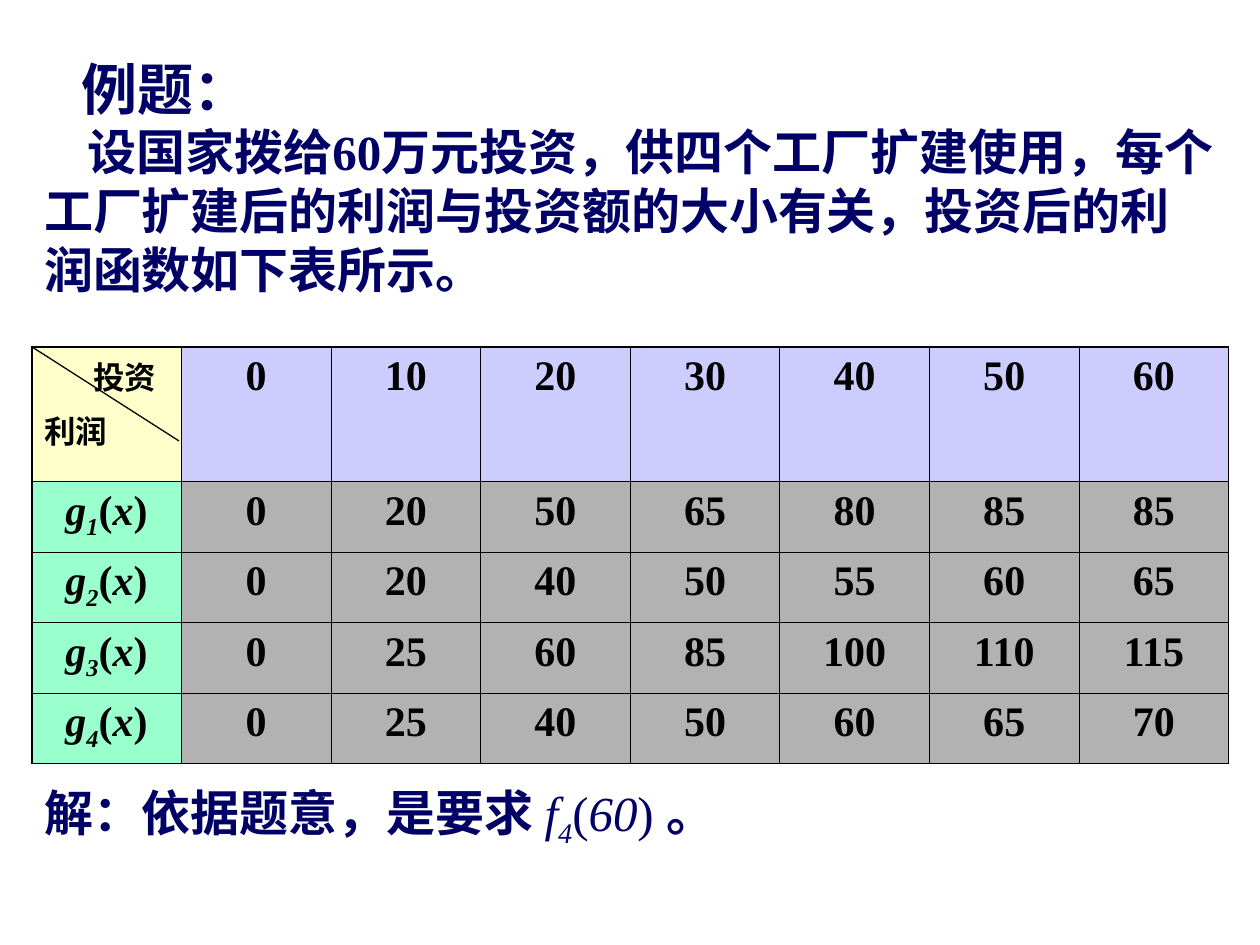
from lxml import etree
from pptx import Presentation
from pptx.dml.color import RGBColor
from pptx.enum.shapes import MSO_CONNECTOR
from pptx.enum.text import PP_ALIGN
from pptx.oxml.ns import qn
from pptx.util import Cm, Pt

CENTER, LEFT = PP_ALIGN.CENTER, PP_ALIGN.LEFT
STRAIGHT = MSO_CONNECTOR.STRAIGHT
FONT = "Times New Roman"
NAVY, BLACK = "000066", "000000"
CORNER_FILL, INVESTMENT_FILL = "FFFFCC", "CCCCFF"
FACTORY_FILL, PROFIT_FILL = "99FFCC", "B2B2B2"

MARGIN, CONTENT_WIDTH = 0.64, 24.13
TABLE_TOP, HEADER_HEIGHT, ROW_HEIGHT = 6.99, 2.72, 1.42
OUTER_LINE, INNER_LINE = 1.08, 0.45

INVESTMENTS = [0, 10, 20, 30, 40, 50, 60]
PROFITS = [
    [0, 20, 50, 65, 80, 85, 85],
    [0, 20, 40, 50, 55, 60, 65],
    [0, 25, 60, 85, 100, 110, 115],
    [0, 25, 40, 50, 60, 65, 70],
]


def color(hex_value):
    return RGBColor.from_string(hex_value)


def write_paragraph(paragraph, pieces, size, hex_value, bold=True,
                    align=LEFT, indent=0):
    """Each piece is (text, marks); marks: b = bold, i = italic, s = subscript."""
    paragraph.alignment = align
    if indent:
        paragraph._p.get_or_add_pPr().set("indent", str(Cm(indent)))
    font = paragraph.font
    font.name, font.size, font.bold = FONT, Pt(size), bold
    font.color.rgb = color(hex_value)
    for text, marks in pieces:
        run = paragraph.add_run()
        run.text = text
        if "b" in marks:
            run.font.bold = True
        if "i" in marks:
            run.font.italic = True
        if "s" in marks:
            run._r.get_or_add_rPr().set("baseline", "-25000")


def add_text_frame(slide, top, height):
    box = slide.shapes.add_textbox(Cm(MARGIN), Cm(top), Cm(CONTENT_WIDTH), Cm(height))
    box.text_frame.word_wrap = True
    return box.text_frame


def set_border(cell, side, width):
    line = etree.SubElement(cell._tc.get_or_add_tcPr(), qn(f"a:ln{side}"),
                            w=str(Pt(width)))
    fill = etree.SubElement(line, qn("a:solidFill"))
    etree.SubElement(fill, qn("a:srgbClr"), val=BLACK)


def style_cell(table, row, column, hex_value):
    cell = table.cell(row, column)
    on_edge = {
        "L": column == 0,
        "R": column == len(table.columns) - 1,
        "T": row == 0,
        "B": row == len(table.rows) - 1,
    }
    for side, outer in on_edge.items():
        set_border(cell, side, OUTER_LINE if outer else INNER_LINE)
    cell.fill.solid()
    cell.fill.fore_color.rgb = color(hex_value)
    return cell.text_frame


def fill_cell(table, row, column, pieces, hex_value):
    frame = style_cell(table, row, column, hex_value)
    write_paragraph(frame.paragraphs[0], pieces, 24, BLACK, align=CENTER)


def add_profit_table(slide):
    row_count, column_count = len(PROFITS) + 1, len(INVESTMENTS) + 1
    table = slide.shapes.add_table(
        row_count, column_count, Cm(MARGIN), Cm(TABLE_TOP), Cm(CONTENT_WIDTH),
        Cm(HEADER_HEIGHT + ROW_HEIGHT * len(PROFITS))).table
    table.first_row = table.horz_banding = False
    for index, row in enumerate(table.rows):
        row.height = Cm(ROW_HEIGHT if index else HEADER_HEIGHT)

    # Corner cell with both axis names
    corner = style_cell(table, 0, 0, CORNER_FILL)
    write_paragraph(corner.paragraphs[0], [("投资", "")], 18, BLACK, indent=0.99)
    profit_label = corner.add_paragraph()
    write_paragraph(profit_label, [("利润", "")], 18, BLACK)
    profit_label.space_before = Pt(4.5)

    # Investment header, then one row per factory
    for column, investment in enumerate(INVESTMENTS, 1):
        fill_cell(table, 0, column, [(str(investment), "")], INVESTMENT_FILL)
    for row, profits in enumerate(PROFITS, 1):
        function = [("g", "i"), (str(row), "is"), ("(", ""), ("x", "i"), (")", "")]
        fill_cell(table, row, 0, function, FACTORY_FILL)
        for column, profit in enumerate(profits, 1):
            fill_cell(table, row, column, [(str(profit), "")], PROFIT_FILL)


def add_diagonal(slide):
    diagonal = slide.shapes.add_connector(
        STRAIGHT, Cm(3.61), Cm(8.89), Cm(MARGIN), Cm(TABLE_TOP))
    diagonal.line.color.rgb = color(BLACK)
    diagonal.line.width = Pt(0.75)
    etree.SubElement(diagonal._element.spPr, qn("a:effectLst"))


def main():
    presentation = Presentation()
    presentation.slide_width, presentation.slide_height = Cm(25.4), Cm(19.05)
    slide = presentation.slides.add_slide(presentation.slide_layouts[6])

    # Problem statement
    problem = add_text_frame(slide, 0.97, 5.18)
    write_paragraph(problem.paragraphs[0], [("例题：", "")], 32, NAVY, indent=0.76)
    statement = ("设国家拨给60万元投资，供四个工厂扩建使用，每个工厂扩建后的利润"
                 "与投资额的大小有关，投资后的利润函数如下表所示。")
    write_paragraph(problem.add_paragraph(), [(statement, "")], 28, NAVY, indent=0.88)

    # Profit functions
    add_profit_table(slide)
    add_diagonal(slide)

    # Solution
    solution = add_text_frame(slide, 15.65, 1.6)
    write_paragraph(
        solution.paragraphs[0],
        [("解：依据题意，是要求 ", "b"), ("f", "i"), ("4", "is"), ("(", ""),
         ("60", "i"), (") ", ""), ("。", "b")],
        28, NAVY, bold=False)

    presentation.save("out.pptx")


if __name__ == "__main__":
    main()
